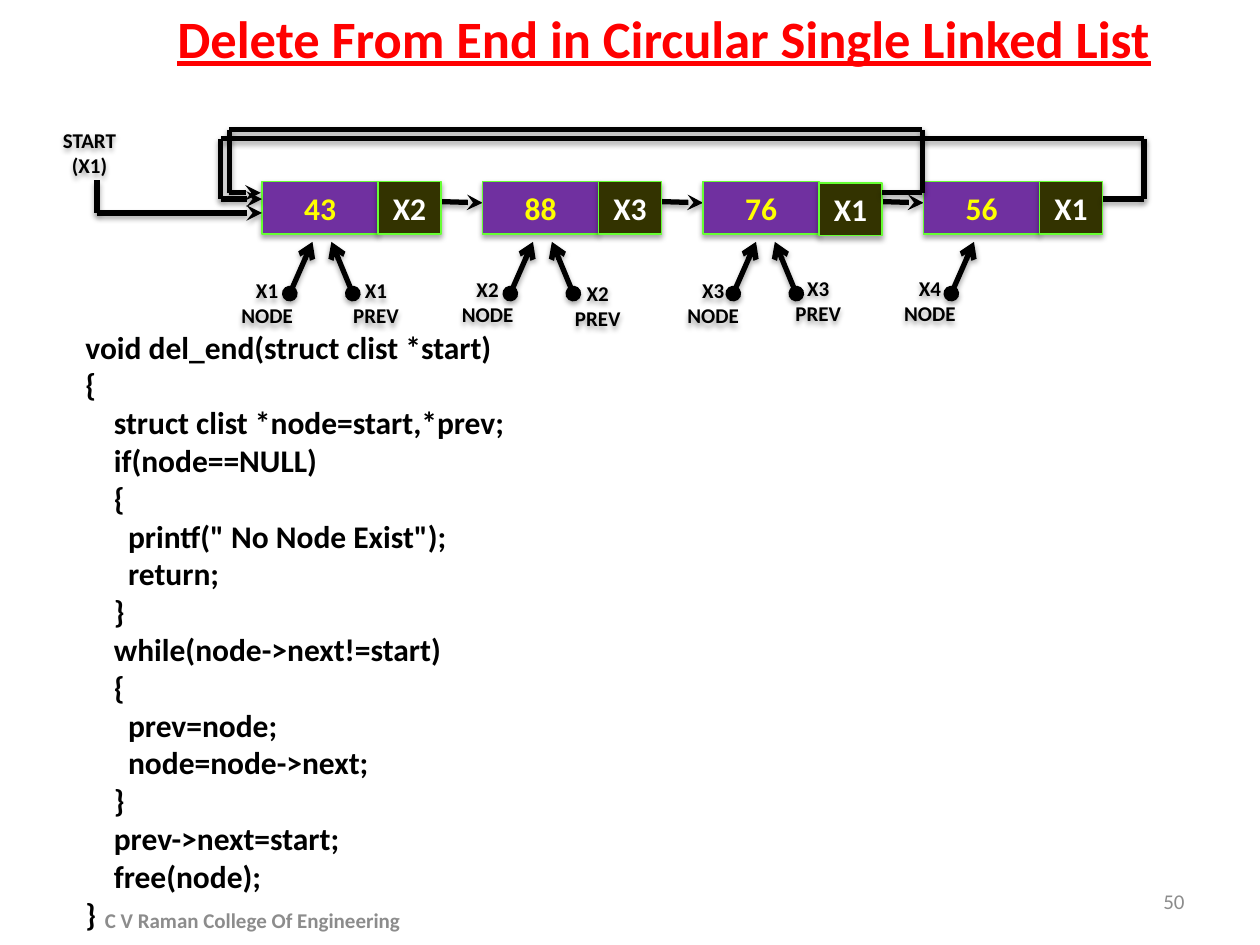
from pptx import Presentation
from pptx.dml.color import RGBColor
from pptx.enum.shapes import MSO_CONNECTOR, MSO_SHAPE
from pptx.enum.text import MSO_ANCHOR, PP_ALIGN
from pptx.oxml import parse_xml
from pptx.oxml.ns import nsdecls
from pptx.util import Inches, Pt

RECT, OVAL = MSO_SHAPE.RECTANGLE, MSO_SHAPE.OVAL
LINE = MSO_CONNECTOR.STRAIGHT
LEFT, MID, RIGHT = PP_ALIGN.LEFT, PP_ALIGN.CENTER, PP_ALIGN.RIGHT
TOP, CENTER = MSO_ANCHOR.TOP, MSO_ANCHOR.MIDDLE

COLORS = {
    "ink": "000000", "data": "7030A0", "next": "333300", "edge": "66FF33",
    "value": "FFFF00", "white": "FFFFFF", "title": "FF0000", "gray": "8C8C8C",
}

CODE = """void del_end(struct clist *start)
{
    struct clist *node=start,*prev;
    if(node==NULL)
    {
      printf(" No Node Exist");
      return;
    }
    while(node->next!=start)
    {
      prev=node;
      node=node->next;
    }
    prev->next=start;
    free(node);
}"""

NODES = [("43", "X2", 1.44), ("88", "X3", 1.44), ("76", "X1", 1.45), ("56", "X1", 1.44)]
FIRST, STEP, DATA, NEXT, HIGH = 2.08, 1.75, 0.92, 0.5, 0.42

LABELS = [
    ("START(X1)", 0.25, 1, 0.92),
    ("X1\nPREV", 2.57, 2.21, 0.83), ("X1\nNODE", 1.66, 2.21, 0.92),
    ("X2\nPREV", 4.33, 2.23, 0.83), ("X2\nNODE", 3.41, 2.2, 0.92),
    ("X3\nPREV", 6.08, 2.19, 0.83), ("X3\nNODE", 5.2, 2.21, 0.92),
    ("X4\nNODE", 6.92, 2.19, 0.92),
]

ROUTES = [
    [(8.75, 1.58), (9.08, 1.58), (9.08, 1.1), (1.75, 1.1), (1.75, 1.58), (2.08, 1.58)],
    [(7, 1.53), (7.32, 1.53), (7.32, 1.03), (1.82, 1.03), (1.82, 1.53), (2.07, 1.53)],
    [(0.77, 1.43), (0.77, 1.69), (2.08, 1.69)],
]


class Deck:
    """Holds the style and the current slide, and draws each kind of element."""

    def __init__(self, slide, font="Calibri"):
        self.slide = slide
        self.font = font

    def color(self, name):
        return RGBColor.from_string(COLORS[name])

    def shade(self, item):
        props = item._element.spPr
        for old in props.findall("{*}effectLst"):
            props.remove(old)
        props.append(parse_xml(
            f'<a:effectLst {nsdecls("a")}><a:outerShdw blurRad="{Pt(3.1)}" '
            f'dist="{Pt(1.8)}" dir="5400000" rotWithShape="0"><a:srgbClr val="{COLORS["ink"]}">'
            '<a:alpha val="35000"/></a:srgbClr></a:outerShdw></a:effectLst>'))

    def label(self, frame, text, size, color, align, bold=True, under=False):
        frame.text = text
        for para in frame.paragraphs:
            para.alignment = align
            for run in para.runs:
                font = run.font
                font.name, font.size, font.bold = self.font, Pt(size), bold
                font.color.rgb = self.color(color)
                if under:
                    font.underline = True

    def text(self, text, box, size, color, align=LEFT, anchor=TOP, wrap=True, **style):
        frame = self.slide.shapes.add_textbox(*map(Inches, box)).text_frame
        frame.word_wrap = wrap
        frame.vertical_anchor = anchor
        self.label(frame, text, size, color, align, **style)

    def shape(self, kind, text, box, size, color, fill=None):
        shape = self.slide.shapes.add_shape(kind, *map(Inches, box))
        shape.shadow.inherit = False
        if fill:
            shape.fill.solid()
            shape.fill.fore_color.rgb = self.color(fill)
            shape.line.color.rgb = self.color("edge")
            shape.line.width = Pt(1)
        else:
            shape.fill.background()
            shape.line.fill.background()
        self.shade(shape)
        shape.text_frame.vertical_anchor = CENTER
        self.label(shape.text_frame, text, size, color, MID)

    def line(self, start, end, head=None, tail=None):
        line = self.slide.shapes.add_connector(LINE, *map(Inches, (*start, *end)))
        line.line.color.rgb = self.color("ink")
        line.line.width = Pt(3)
        stroke = line._element.spPr.find("{*}ln")
        for tag, kind in (("headEnd", head), ("tailEnd", tail)):
            if kind:
                stroke.append(parse_xml(f'<a:{tag} {nsdecls("a")} type="{kind}"/>'))
        self.shade(line)

    def route(self, points):
        for start, end in zip(points, points[1:]):
            self.line(start, end, tail="stealth" if end == points[-1] else None)


def main():
    prs = Presentation()
    prs.slide_width, prs.slide_height = Inches(10), Inches(7.5)
    deck = Deck(prs.slides.add_slide(prs.slide_layouts[6]))

    deck.text(CODE, (0.58, 2.55, 4.08, 4.95), 18, "ink")
    for i, (value, target, top) in enumerate(NODES):
        left = FIRST + i * STEP
        cell = left + DATA
        if i < len(NODES) - 1:
            deck.line((cell + NEXT, 1.6), (left + STEP, 1.61), tail="stealth")
        deck.shape(RECT, value, (left, 1.44, DATA, HIGH), 18, "value", "data")
        deck.shape(RECT, target, (cell, top, NEXT, HIGH), 18, "white", "next")

    for points in ROUTES:
        deck.route(points)
    for text, left, top, width in LABELS:
        high = 0.39 if "\n" in text else 0.42
        deck.shape(OVAL, text, (left, top, width, high), 12, "ink")

    deck.text("Delete From End in Circular Single Linked List", (1.31, 0, 8.13, 0.61),
              30, "title", wrap=False, under=True)
    deck.text("50", (7.17, 6.95, 2.33, 0.4), 12, "gray", RIGHT, CENTER, bold=False)
    deck.text("C V Raman College Of Engineering", (0.67, 7.1, 2.67, 0.4), 12, "gray", MID, CENTER)

    for i in range(len(NODES)):
        left = FIRST + i * STEP + (0.02 if i == 2 else 0)
        deck.line((left + 0.22, 2.33), (left + 0.4, 1.92), "oval", "arrow")
        if i < len(NODES) - 1:
            deck.line((left + 0.72, 2.33), (left + 0.55, 1.92), "oval", "arrow")

    prs.save("out.pptx")


if __name__ == "__main__":
    main()
